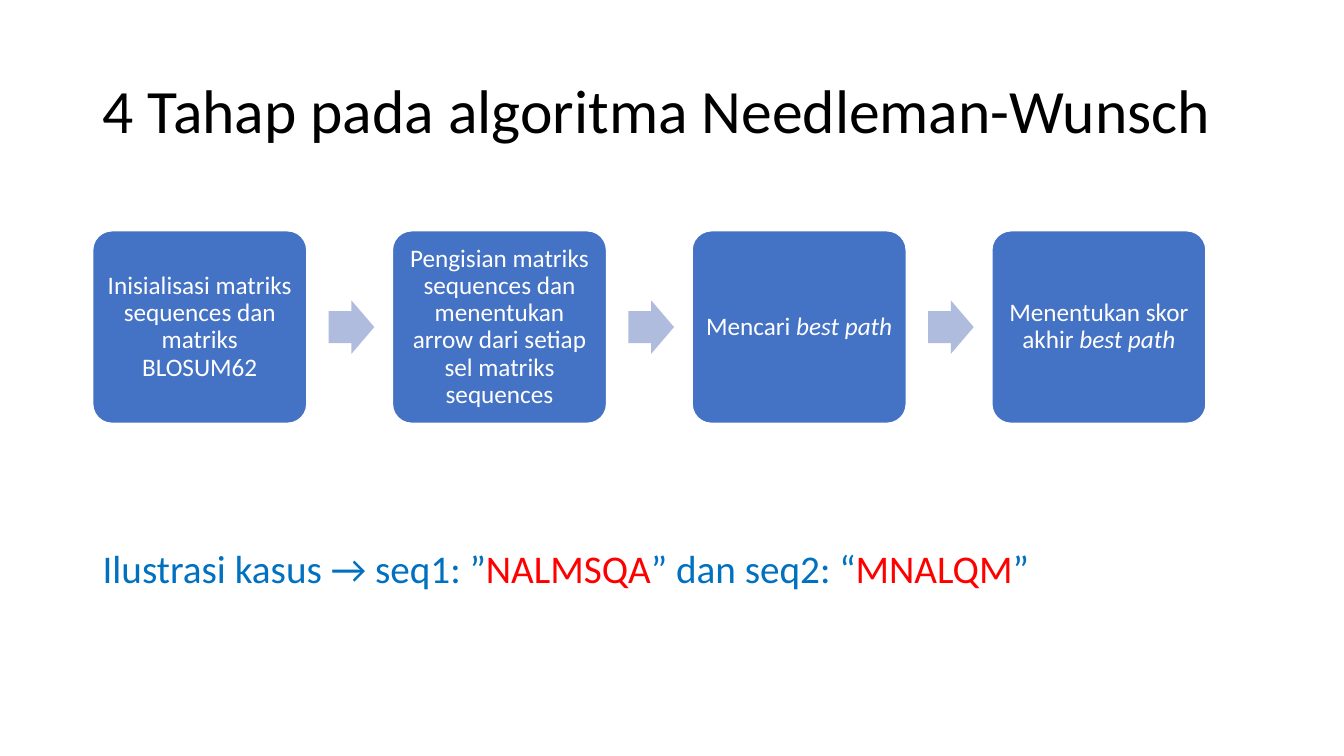
from dataclasses import dataclass

from pptx import Presentation
from pptx.dml.color import RGBColor
from pptx.enum.shapes import MSO_SHAPE
from pptx.enum.text import MSO_ANCHOR, PP_ALIGN
from pptx.util import Inches, Pt

ROUNDED = MSO_SHAPE.ROUNDED_RECTANGLE
RIGHT_ARROW = MSO_SHAPE.RIGHT_ARROW
MIDDLE = MSO_ANCHOR.MIDDLE
LEFT = PP_ALIGN.LEFT
CENTER = PP_ALIGN.CENTER


@dataclass(frozen=True)
class Theme:
    font: str = "Calibri"
    title_size: int = 44
    case_size: int = 28
    step_size: int = 18
    line_spacing: float = 0.9
    black: str = "000000"
    white: str = "FFFFFF"
    blue: str = "0070C0"
    red: str = "FF0000"
    step_fill: str = "4472C4"
    arrow_fill: str = "B0BCDE"


class SlideBuilder:
    def __init__(self, presentation, theme):
        self.theme = theme
        self.width = presentation.slide_width
        self.height = presentation.slide_height
        self.slide = presentation.slides.add_slide(presentation.slide_layouts[6])

    def place(self, left, top, width, height):
        return (
            round(self.width * left / 100),
            round(self.height * top / 100),
            round(self.width * width / 100),
            round(self.height * height / 100),
        )

    def add_runs(self, frame, runs, size, alignment):
        frame.word_wrap = True
        frame.vertical_anchor = MIDDLE
        paragraph = frame.paragraphs[0]
        paragraph.alignment = alignment
        paragraph.line_spacing = self.theme.line_spacing
        for text, color, italic in runs:
            run = paragraph.add_run()
            run.text = text
            run.font.name = self.theme.font
            run.font.size = Pt(size)
            run.font.italic = italic
            run.font.color.rgb = RGBColor.from_string(color)

    def text(self, area, runs, size):
        box = self.slide.shapes.add_textbox(*self.place(*area))
        self.add_runs(box.text_frame, runs, size, LEFT)

    def shape(self, kind, area, fill, adjustments):
        shape = self.slide.shapes.add_shape(kind, *self.place(*area))
        shape.shadow.inherit = False
        shape.fill.solid()
        shape.fill.fore_color.rgb = RGBColor.from_string(fill)
        shape.line.fill.background()
        for index, value in enumerate(adjustments):
            shape.adjustments[index] = value
        return shape

    def step(self, area, runs):
        shape = self.shape(ROUNDED, area, self.theme.step_fill, [0.1])
        shape.line.color.rgb = RGBColor.from_string(self.theme.white)
        shape.line.width = Pt(1)
        frame = shape.text_frame
        frame.margin_left = frame.margin_right = Inches(0.07)
        frame.margin_top = frame.margin_bottom = Inches(0.07)
        self.add_runs(frame, runs, self.theme.step_size, CENTER)

    def arrow(self, area):
        self.shape(RIGHT_ARROW, area, self.theme.arrow_fill, [0.6, 0.5])


MARGIN, CONTENT_WIDTH = 6.9, 86.25
STEP_TOP, STEP_WIDTH, STEP_HEIGHT, STEP_PITCH = 30.53, 15.93, 25.47, 22.3
ARROW_OFFSET, ARROW_WIDTH, ARROW_HEIGHT = 17.55, 3.4, 7.07
ARROW_TOP = STEP_TOP + (STEP_HEIGHT - ARROW_HEIGHT) / 2

STEPS = [
    [("Inisialisasi matriks sequences dan matriks BLOSUM62", False)],
    [("Pengisian matriks sequences dan menentukan arrow dari setiap sel matriks sequences", False)],
    [("Mencari ", False), ("best path", True)],
    [("Menentukan skor akhir ", False), ("best path", True)],
]


def main():
    presentation = Presentation()
    presentation.slide_width = Inches(13.33)
    presentation.slide_height = Inches(7.5)
    theme = Theme()
    builder = SlideBuilder(presentation, theme)

    builder.text(
        (MARGIN, 5.33, CONTENT_WIDTH, 19.33),
        [("4 Tahap pada algoritma Needleman-Wunsch", theme.black, False)],
        theme.title_size,
    )

    for index, parts in enumerate(STEPS):
        left = MARGIN + index * STEP_PITCH
        runs = [(text, theme.white, italic) for text, italic in parts]
        builder.step((left, STEP_TOP, STEP_WIDTH, STEP_HEIGHT), runs)
        if index < len(STEPS) - 1:
            builder.arrow((left + ARROW_OFFSET, ARROW_TOP, ARROW_WIDTH, ARROW_HEIGHT))

    builder.text(
        (MARGIN, 72, CONTENT_WIDTH, 7.07),
        [
            ("Ilustrasi kasus → seq1: ”", theme.blue, False),
            ("NALMSQA", theme.red, False),
            ("” dan seq2: “", theme.blue, False),
            ("MNALQM", theme.red, False),
            ("”", theme.blue, False),
        ],
        theme.case_size,
    )

    presentation.save("out.pptx")


if __name__ == "__main__":
    main()
